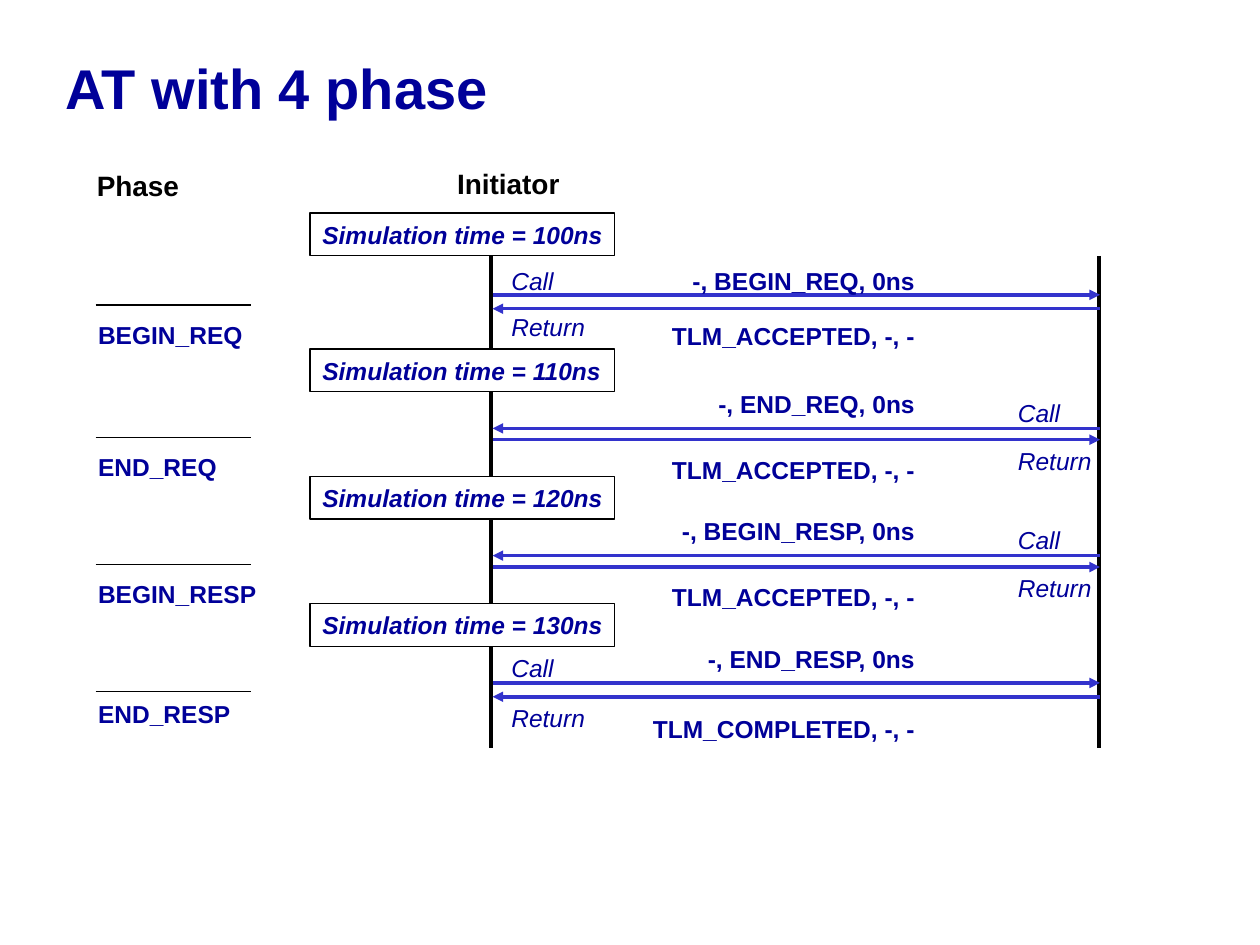
from lxml.etree import SubElement
from pptx import Presentation
from pptx.dml.color import RGBColor
from pptx.enum.shapes import MSO_CONNECTOR, MSO_SHAPE
from pptx.enum.text import MSO_ANCHOR, PP_ALIGN
from pptx.oxml.ns import qn
from pptx.util import Inches, Pt

TITLE = "AT with 4 phase"
HEADS = [("Phase", 0.67, 1.29), ("Initiator", 3.53, 1.27)]
STEPS = [
    ("BEGIN_REQ", "100ns", "TLM_ACCEPTED", True),
    ("END_REQ", "110ns", "TLM_ACCEPTED", False),
    ("BEGIN_RESP", "120ns", "TLM_ACCEPTED", False),
    ("END_RESP", "130ns", "TLM_COMPLETED", True),
]
TOPS = [1.69, 2.77, 3.78, 4.79]
PARTS = ("ask", "reply", "rule", "name", "sent", "got", "call", "back")
MID = (0.63, 0.72, 0.70, 0.77, 0.27, 0.79, 0.34, 0.72)
DROPS = [
    (0.65, 0.76, 0.73, 0.80, 0.37, 0.81, 0.37, 0.74),
    MID,
    MID,
    (0.63, 0.74, 0.70, 0.71, 0.27, 0.83, 0.34, 0.74),
]
HEX = {"ink": "000000", "navy": "000099", "blue": "3333CC", "white": "FFFFFF"}
LEFT, RIGHT = 3.9, 8.72
ROW = 0.34


def tint(name):
    return RGBColor.from_string(HEX[name])


def style(frame, text, size, color, bold=False, slant=False, align=PP_ALIGN.LEFT):
    frame.text = text
    frame.word_wrap = True
    frame.margin_left = Inches(0.1)
    frame.margin_right = Inches(0.1 if align == PP_ALIGN.RIGHT else 0)
    frame.margin_top = frame.margin_bottom = Inches(0.05)
    line = frame.paragraphs[0]
    line.alignment = align
    font = line.runs[0].font
    font.name, font.size = "Arial", Pt(size)
    font.bold, font.italic = bold, slant
    font.color.rgb = tint(color)


def label(slide, text, x, y, wide, size=14, color="navy", **look):
    box = slide.shapes.add_textbox(Inches(x), Inches(y), Inches(wide), Inches(ROW))
    style(box.text_frame, text, size, color, **look)


def stroke(slide, x1, y1, x2, y2, color, width, arrow=False):
    line = slide.shapes.add_connector(
        MSO_CONNECTOR.STRAIGHT, Inches(x1), Inches(y1), Inches(x2), Inches(y2))
    line.line.color.rgb = tint(color)
    line.line.width = Pt(width)
    if arrow:
        SubElement(line.line._get_or_add_ln(), qn("a:tailEnd"), type="triangle")
    SubElement(line._element.spPr, qn("a:effectLst"))


def clock(slide, time, y):
    box = slide.shapes.add_shape(
        MSO_SHAPE.RECTANGLE, Inches(2.46), Inches(y), Inches(2.42), Inches(ROW))
    box.shadow.inherit = False
    box.fill.solid()
    box.fill.fore_color.rgb = tint("white")
    box.line.color.rgb = tint("ink")
    box.line.width = Pt(0.75)
    style(box.text_frame, f"Simulation time = {time}", 14, "navy", bold=True, slant=True)


def step(slide, data, top, drops):
    name, time, status, ahead = data
    y = {part: top + drop for part, drop in zip(PARTS, drops)}
    start, end = (LEFT + 0.01, RIGHT + 0.01)[::1 if ahead else -1]
    stroke(slide, start, y["ask"], end, y["ask"], "blue", 2, True)
    stroke(slide, end, y["reply"], start, y["reply"], "blue", 2, True)
    stroke(slide, 0.76, y["rule"], 1.99, y["rule"], "ink", 0.75)
    label(slide, name, 0.68, y["name"], 1.5, bold=True)
    for text, part in ((f"-, {name}, 0ns", "sent"), (f"{status}, -, -", "got")):
        label(slide, text, 4.96, y[part], 2.4, bold=True, align=PP_ALIGN.RIGHT)
    side = LEFT + 0.06 if ahead else RIGHT - 0.74
    for text, part in (("Call", "call"), ("Return", "back")):
        label(slide, text, side, y[part], 0.78, slant=True)
    clock(slide, time, top)


def main():
    deck = Presentation()
    deck.slide_width, deck.slide_height = Inches(10), Inches(7.5)
    slide = deck.slides.add_slide(deck.slide_layouts[5])
    head = slide.shapes.title
    head.left, head.top = Inches(0.42), Inches(0.3)
    head.width, head.height = Inches(9), Inches(0.87)
    style(head.text_frame, TITLE, 32, "navy", bold=True)
    head.text_frame.vertical_anchor = MSO_ANCHOR.MIDDLE
    head.text_frame.paragraphs[0].line_spacing = 0.85
    for x in (LEFT, RIGHT):
        stroke(slide, x, 2.03, x, 5.94, "ink", 2.25)
    for text, x, y in HEADS:
        label(slide, text, x, y, 1.2, 16, "ink", bold=True)
    for data, top, drops in zip(STEPS, TOPS, DROPS):
        step(slide, data, top, drops)
    deck.save("out.pptx")


if __name__ == "__main__":
    main()
